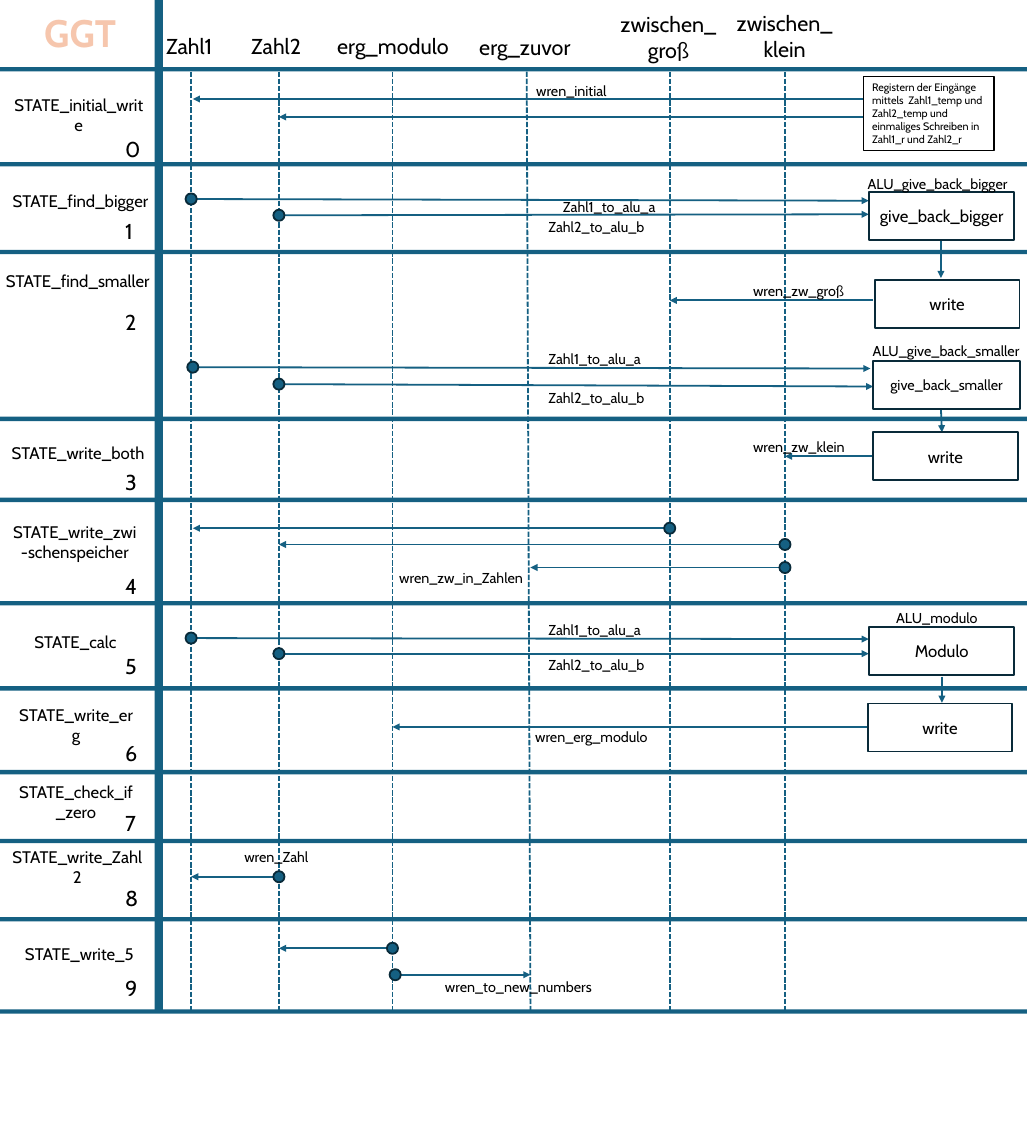
from dataclasses import dataclass

from lxml import etree
from pptx import Presentation, util as u
from pptx.dml import color
from pptx.enum import dml, shapes, text
from pptx.oxml import ns


@dataclass(frozen=True)
class Theme:
    font: str = "Cabin"
    blue: str = "156082"
    edge: str = "092A39"
    black: str = "000000"
    white: str = "FFFFFF"
    peach: str = "F6C6AD"
    title: int = 32
    heading: int = 18
    state: int = 14
    label: int = 12
    note: int = 9
    stroke: float = 1.5


theme = Theme()
rgb = color.RGBColor.from_string
rectangle = shapes.MSO_SHAPE.RECTANGLE
left_align, center = text.PP_ALIGN.LEFT, text.PP_ALIGN.CENTER
top_anchor, middle = text.MSO_ANCHOR.TOP, text.MSO_ANCHOR.MIDDLE

presentation = Presentation()
presentation.slide_width = u.Cm(30.3)
presentation.slide_height = u.Cm(33.86)
slide = presentation.slides.add_slide(presentation.slide_layouts[6])


def add_box(place, kind=None, fill=None, edge=None, words="", size=theme.label,
            align=left_align, anchor=top_anchor, ink=theme.black, bold=False):
    bounds = [u.Cm(length) for length in place]
    if kind is None:
        shape = slide.shapes.add_textbox(*bounds)
    else:
        shape = slide.shapes.add_shape(kind, *bounds)
        shape.shadow.inherit = False
        if fill:
            shape.fill.solid()
            shape.fill.fore_color.rgb = rgb(fill)
        else:
            shape.fill.background()
        if edge:
            shape.line.color.rgb = rgb(edge)
            shape.line.width = u.Pt(theme.stroke)
        else:
            shape.line.fill.background()
    if words:
        frame = shape.text_frame
        frame.word_wrap = True
        frame.vertical_anchor = anchor
        paragraph = frame.paragraphs[0]
        paragraph.alignment = align
        run = paragraph.add_run()
        run.text = words
        run.font.name = theme.font
        run.font.size = u.Pt(size)
        run.font.bold = bold
        run.font.color.rgb = rgb(ink)
    return shape


def add_line(x1, y1, x2, y2):
    connector = slide.shapes.add_connector(
        shapes.MSO_CONNECTOR.STRAIGHT, u.Cm(x1), u.Cm(y1), u.Cm(x2), u.Cm(y2))
    connector.line.color.rgb = rgb(theme.blue)
    connector.line.width = u.Pt(theme.stroke)
    etree.SubElement(connector._element.spPr, ns.qn("a:effectLst"))
    return connector


add_box((4.56, 0, 0.25, 29.86), rectangle, theme.blue)

title = add_box((1.02, 0.15, 2.69, 1.63), words="GGT", size=theme.title,
                align=center, ink=theme.peach, bold=True)
title.text_frame.word_wrap = False

headings = [
    ("Zahl1", 4.65, 0.84, 3.02, 1.02, left_align),
    ("Zahl2", 7.16, 0.84, 3.02, 1.02, left_align),
    ("erg_modulo", 9.7, 0.86, 4.19, 1.02, left_align),
    ("erg_zuvor", 13.89, 0.89, 4.04, 1.02, left_align),
    ("zwischen_groß", 17.93, 0.2, 3.58, 1.8, center),
    ("zwischen_klein", 21.36, 0.18, 3.58, 1.8, center),
]
for words, *place, align in headings:
    add_box(place, words=words, size=theme.heading, align=align)

zahl1, zahl2, modulo, zuvor, gross, klein = 5.64, 8.23, 11.58, 15.65, 19.76, 23.16
for x in (zahl1, zahl2, modulo, zuvor, gross, klein):
    start = 15.54 if x == zuvor else x
    lifeline = add_line(start, 2.11, x, 29.85)
    lifeline.line.dash_style = dml.MSO_LINE.SQUARE_DOT

for y in (1.98, 4.78, 7.37, 12.29, 14.68, 17.73, 20.24, 22.71, 24.74, 27.05, 29.77):
    add_box((0, y, 30.3, 0.13), rectangle, theme.blue)

states = [
    ("STATE_initial_write", 0.05, 2.74, 4.55, 3.89),
    ("STATE_find_bigger", 0.1, 5.28, 4.55, 6.3),
    ("STATE_find_smaller", -0.13, 7.64, 4.85, 8.99),
    ("STATE_write_both", 0.08, 12.7, 4.45, 13.72),
    ("STATE_write_zwi-schenspeicher", 0.1, 15.34, 4.22, 16.79),
    ("STATE_calc", 0.18, 18.29, 4.09, 19.13),
    ("STATE_write_erg", 0.2, 20.73, 4.09, 21.69),
    ("STATE_check_if_zero", 0.2, 22.99, 4.09, 23.77),
    ("STATE_write_Zahl2", 0.03, 24.92, 4.5, 25.98),
    ("STATE_write_5", 0.3, 27.48, 4.09, 28.63),
]
for number, (words, x, y, width, number_y) in enumerate(states):
    add_box((x, y, width, 1.3), words=words, size=theme.state, align=center, anchor=middle)
    add_box((3.44, number_y, 0.94, 1.02), words=str(number), size=theme.heading)

dotted_arrows = [
    (zahl1, 5.87, 25.63, 5.92),
    (zahl2, 6.35, 25.63, 6.32),
    (5.69, 10.83, 25.68, 10.87),
    (zahl2, 11.33, 25.76, 11.4),
    (gross, 15.58, 5.69, 15.58),
    (klein, 16.06, zahl2, 16.06),
    (klein, 16.74, zuvor, 16.74),
    (zahl1, 18.82, 25.63, 18.85),
    (zahl2, 19.28, 25.63, 19.28),
    (zahl2, 25.86, zahl1, 25.86),
    (modulo, 27.97, zahl2, 27.97),
    (11.66, 28.75, zuvor, 28.75),
]
plain_arrows = [
    (25.6, 2.92, 5.69, 2.92),
    (25.6, 3.45, zahl2, 3.45),
    (27.76, 7.09, 27.76, 8.2),
    (25.76, 8.86, gross, 8.86),
    (27.76, 12.04, 27.79, 12.75),
    (25.76, 13.46, klein, 13.46),
    (27.79, 19.96, 27.79, 20.73),
    (25.6, 21.44, modulo, 21.44),
]
for ends in dotted_arrows + plain_arrows:
    arrow = add_line(*ends)
    etree.SubElement(arrow.line._get_or_add_ln(), ns.qn("a:tailEnd"), type="triangle")

dot = 0.33
for x, y, *_ in dotted_arrows:
    add_box((x - dot / 2, y - dot / 2, dot, dot), shapes.MSO_SHAPE.OVAL,
            theme.blue, theme.edge)

units = [
    ("give_back_bigger", 25.65, 5.66, 4.27, theme.state),
    ("write", 25.81, 8.26, 4.27, theme.state),
    ("give_back_smaller", 25.76, 10.64, 4.34, theme.label),
    ("write", 25.76, 12.75, 4.27, theme.state),
    ("Modulo", 25.65, 18.49, 4.27, theme.state),
    ("write", 25.6, 20.75, 4.27, theme.state),
]
for words, x, y, width, size in units:
    add_box((x, y, width, 1.42), rectangle, None, theme.edge, words, size, center, middle)

add_box((25.48, 2.26, 3.86, 2.18), rectangle, theme.white, theme.black,
        "Registern der Eingänge mittels  Zahl1_temp und Zahl2_temp und "
        "einmaliges Schreiben in Zahl1_r und Zahl2_r", theme.note)

labels = [
    ("wren_initial", 15.57, 2.29, 4.22),
    ("Zahl1_to_alu_a", 16.36, 5.72, 4.22),
    ("Zahl2_to_alu_b", 15.93, 6.32, 4.22),
    ("Zahl1_to_alu_a", 15.93, 10.19, 4.22),
    ("Zahl2_to_alu_b", 15.93, 11.35, 4.22),
    ("Zahl1_to_alu_a", 15.93, 18.19, 4.22),
    ("Zahl2_to_alu_b", 15.93, 19.23, 4.22),
    ("wren_zw_groß", 21.97, 8.2, 4.22),
    ("wren_zw_klein", 21.97, 12.8, 4.22),
    ("wren_zw_in_Zahlen", 11.53, 16.66, 4.22),
    ("wren_erg_modulo", 15.54, 21.34, 4.22),
    ("wren_Zahl", 6.96, 24.89, 4.22),
    ("wren_to_new_numbers", 12.88, 28.73, 5.03),
    ("ALU_give_back_bigger", 25.35, 5.03, 4.72),
    ("ALU_give_back_smaller", 25.5, 9.96, 4.88),
    ("ALU_modulo", 26.19, 17.83, 4.1),
]
for words, x, y, width in labels:
    add_box((x, y, width, 0.76), words=words)

presentation.save("out.pptx")
